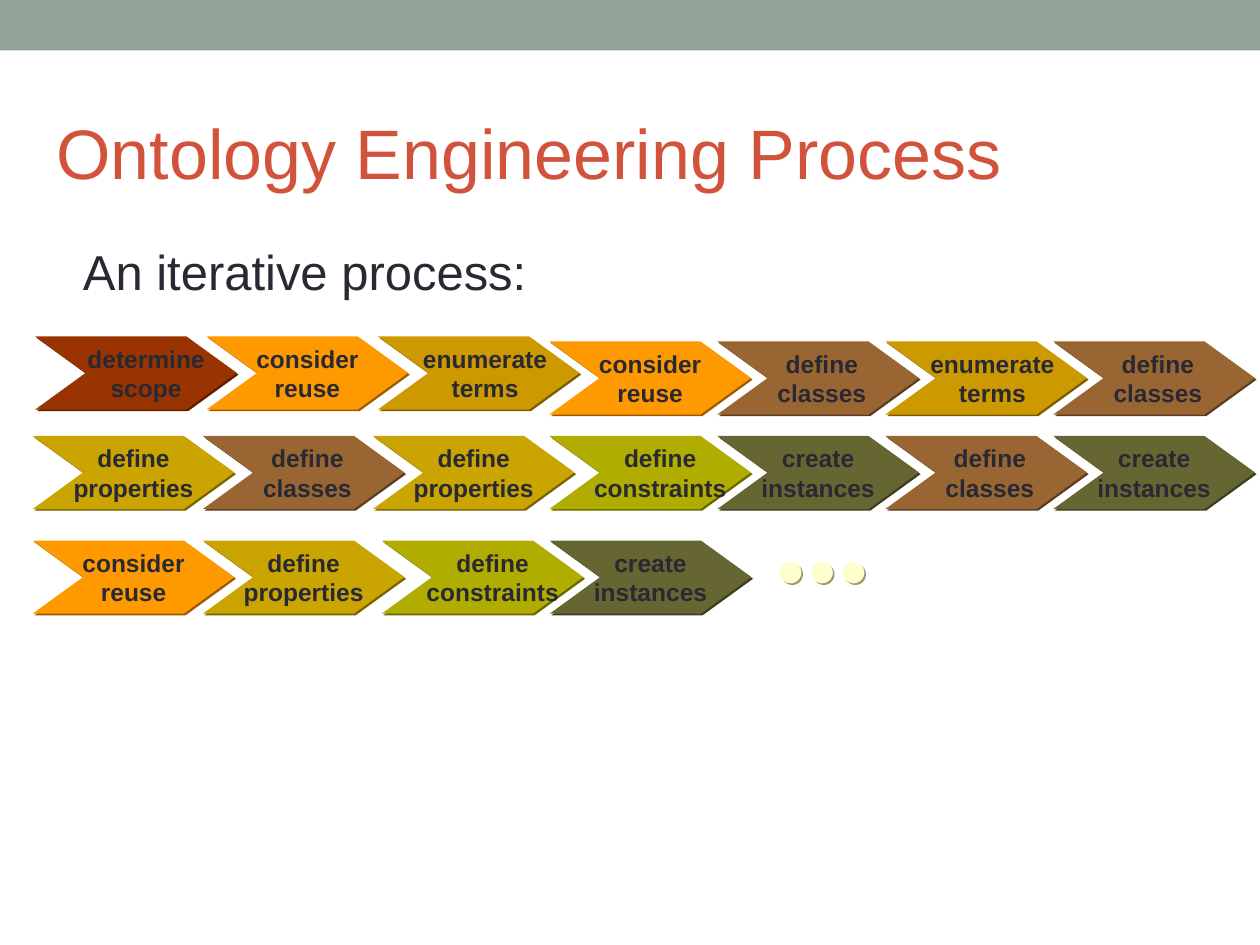
import lxml.etree
import pptx
import pptx.dml.color
import pptx.enum.shapes
import pptx.enum.text
import pptx.oxml.ns
import pptx.util

Inches = pptx.util.Inches
Preset = pptx.enum.shapes.MSO_SHAPE
Align = pptx.enum.text.PP_ALIGN
Anchor = pptx.enum.text.MSO_ANCHOR

WIDTH, HEIGHT = 10, 7.5
COLOURS = {
    "band": "93A299", "title": "D2533C", "text": "292934",
    "scope": "993300", "reuse": "FF9900", "terms": "CC9900",
    "classes": "996633", "properties": "CAA400",
    "constraints": "B0AC00", "instances": "666633", "dot": "FFFFCC",
}
TITLE = "Ontology Engineering Process"
INTRO = "An iterative process:"

# step: label, label centre from the arrow's left, label width
STEPS = {
    "scope": ("determine\vscope", 0.88, 1.13),
    "reuse": ("consider\vreuse", 0.80, 1.01),
    "terms": ("enumerate\nterms", 0.85, 1.18),
    "classes": ("define\vclasses", 0.83, 0.90),
    "properties": ("define\vproperties", 0.80, 1.15),
    "constraints": ("define\vconstraints", 0.88, 1.25),
    "instances": ("create\vinstances", 0.80, 1.10),
}
# each row holds runs of evenly spaced steps: left, top, pitch, steps
PITCH = 4 / 3
ROWS = [
    [(0.28, 2.67, 1.36, ["scope", "reuse", "terms"]),
     (4.36, 2.71, PITCH, ["reuse", "classes", "terms", "classes"])],
    [(0.26, 3.46, 1.35, ["properties", "classes", "properties"]),
     (4.36, 3.46, PITCH, ["constraints", "instances", "classes", "instances"])],
    [(0.26, 4.29, 1.35, ["reuse", "properties"]),
     (3.03, 4.29, PITCH, ["constraints", "instances"])],
]
ARROW_WIDTH, ARROW_HEIGHT, ARROW_POINT = 1.6, 0.58, 0.4
LABEL_HEIGHT = 0.57
DOT_LEFT, DOT_TOP, DOT_SIZE, DOT_PITCH, DOT_COUNT = 6.19, 4.46, 0.17, 0.25, 3

TITLE_FORMAT = {"size": pptx.util.Pt(40)}
INTRO_FORMAT = {"size": pptx.util.Pt(28)}
LABEL_FORMAT = {"size": pptx.util.Pt(14), "bold": True}


def rgb(name):
    return pptx.dml.color.RGBColor.from_string(COLOURS[name])


def add_solid(shapes, preset, area, colour):
    shape = shapes.add_shape(preset, *map(Inches, area))
    shape.fill.solid()
    shape.fill.fore_color.rgb = rgb(colour)
    shape.line.fill.background()
    shape.shadow.inherit = False
    return shape


def add_edge_shadow(shape, colour):
    """Add a hard shadow at the lower right, in a darker tone of the fill."""
    qn = pptx.oxml.ns.qn
    tone = "".join(f"{round(part * 0.6):02X}" for part in rgb(colour))
    effects = shape._element.spPr.find(qn("a:effectLst"))
    shadow = lxml.etree.SubElement(
        effects, qn("a:outerShdw"), blurRad="0", dist="17780",
        dir="2700000", algn="ctr", rotWithShape="0")
    lxml.etree.SubElement(shadow, qn("a:srgbClr"), val=tone)


def add_text(shapes, text, area, colour, font_format, side_margin=0.1,
             align=Align.LEFT, anchor=Anchor.TOP, wrap=True):
    box = shapes.add_textbox(*map(Inches, area))
    frame = box.text_frame
    frame.word_wrap = wrap
    frame.vertical_anchor = anchor
    frame.margin_left = frame.margin_right = Inches(side_margin)
    frame.text = text
    for para in frame.paragraphs:
        para.alignment = align
        for span in para.runs:
            span.font.name = "Arial"
            span.font.color.rgb = rgb(colour)
            for name, value in font_format.items():
                setattr(span.font, name, value)


def add_step(shapes, step, left, top):
    label, centre, width = STEPS[step]
    arrow = add_solid(shapes, Preset.CHEVRON,
                      (left, top, ARROW_WIDTH, ARROW_HEIGHT), step)
    arrow.adjustments[0] = ARROW_POINT / ARROW_HEIGHT
    add_edge_shadow(arrow, step)
    add_text(shapes, label,
             (left + centre - width / 2, top + 0.01, width, LABEL_HEIGHT),
             "text", LABEL_FORMAT, side_margin=0.05,
             align=Align.CENTER, wrap=False)


def main():
    deck = pptx.Presentation()
    deck.slide_width, deck.slide_height = Inches(WIDTH), Inches(HEIGHT)
    page = deck.slides.add_slide(deck.slide_layouts[6])

    add_solid(page.shapes, Preset.RECTANGLE, (0, 0, WIDTH, 0.4), "band")
    add_text(page.shapes, TITLE, (0.35, 0.79, 9.45, 0.83), "title",
             TITLE_FORMAT, anchor=Anchor.MIDDLE)
    add_text(page.shapes, INTRO, (0.56, 1.87, 8.98, 0.63), "text",
             INTRO_FORMAT)

    for row in ROWS:
        group = page.shapes.add_group_shape()
        for left, top, pitch, steps in row:
            for column, step in enumerate(steps):
                add_step(group.shapes, step, left + column * pitch, top)

    # the dots that carry on the last row belong to its group
    for index in range(DOT_COUNT):
        area = (DOT_LEFT + index * DOT_PITCH, DOT_TOP, DOT_SIZE, DOT_SIZE)
        dot = add_solid(group.shapes, Preset.OVAL, area, "dot")
        add_edge_shadow(dot, "dot")

    deck.save("out.pptx")


if __name__ == "__main__":
    main()
